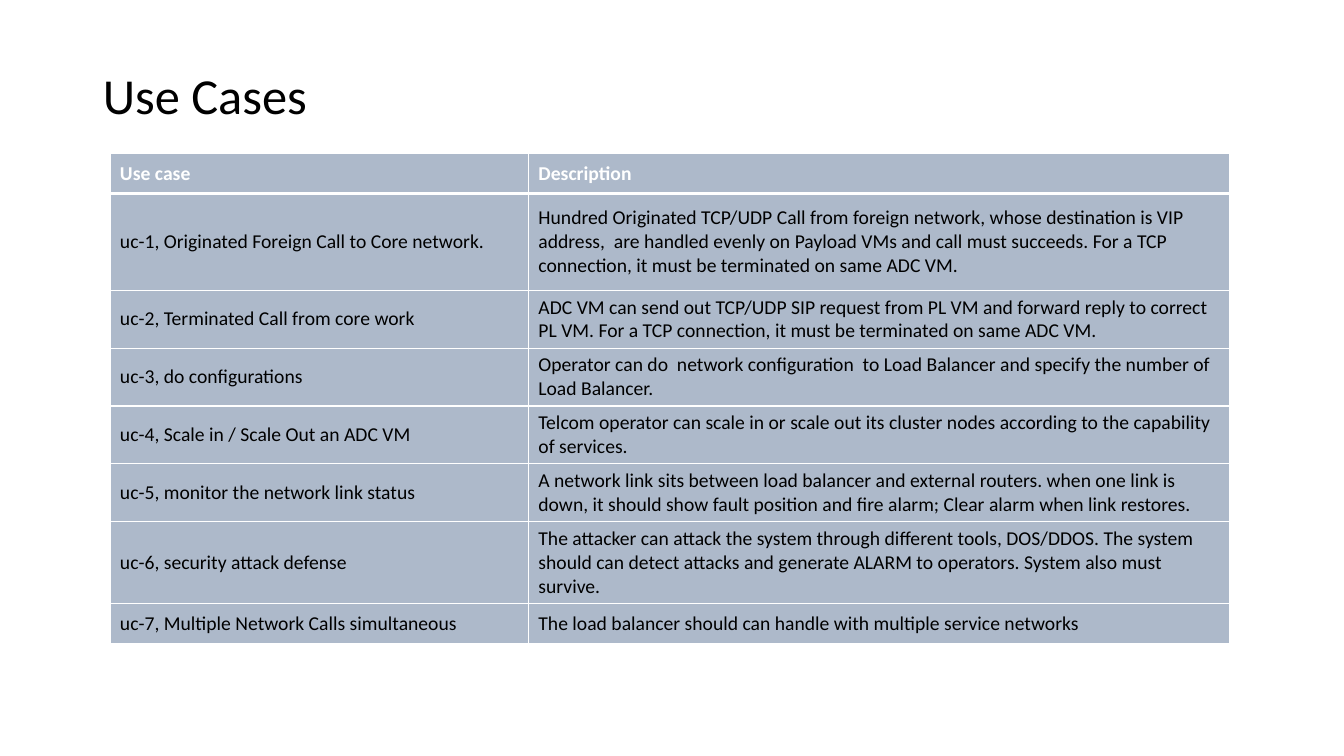
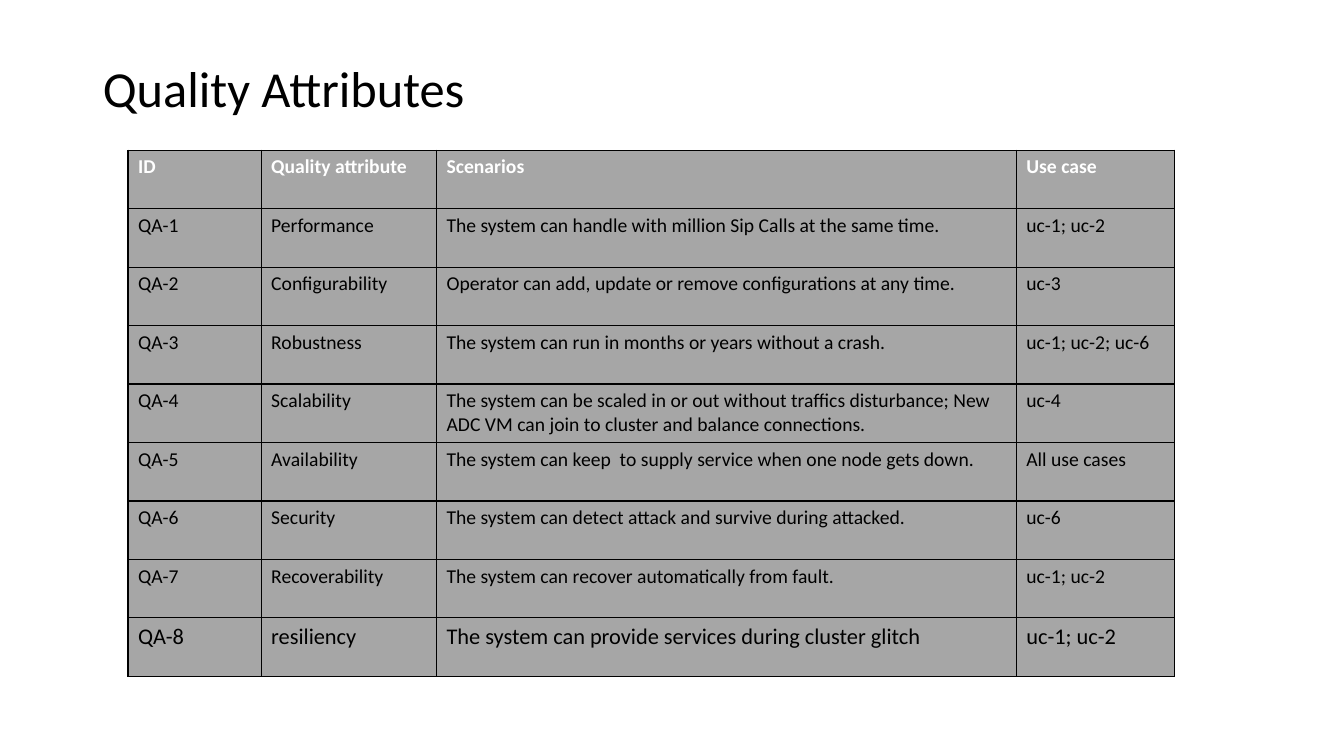
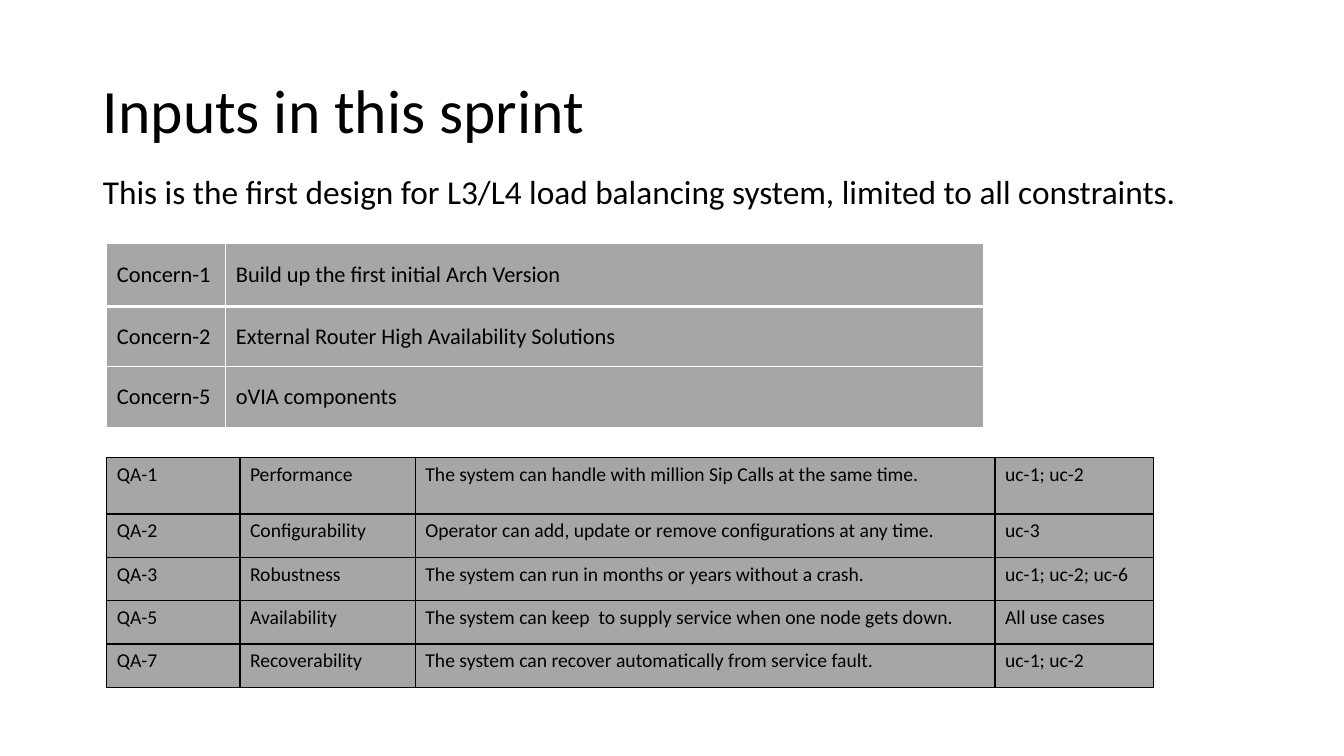
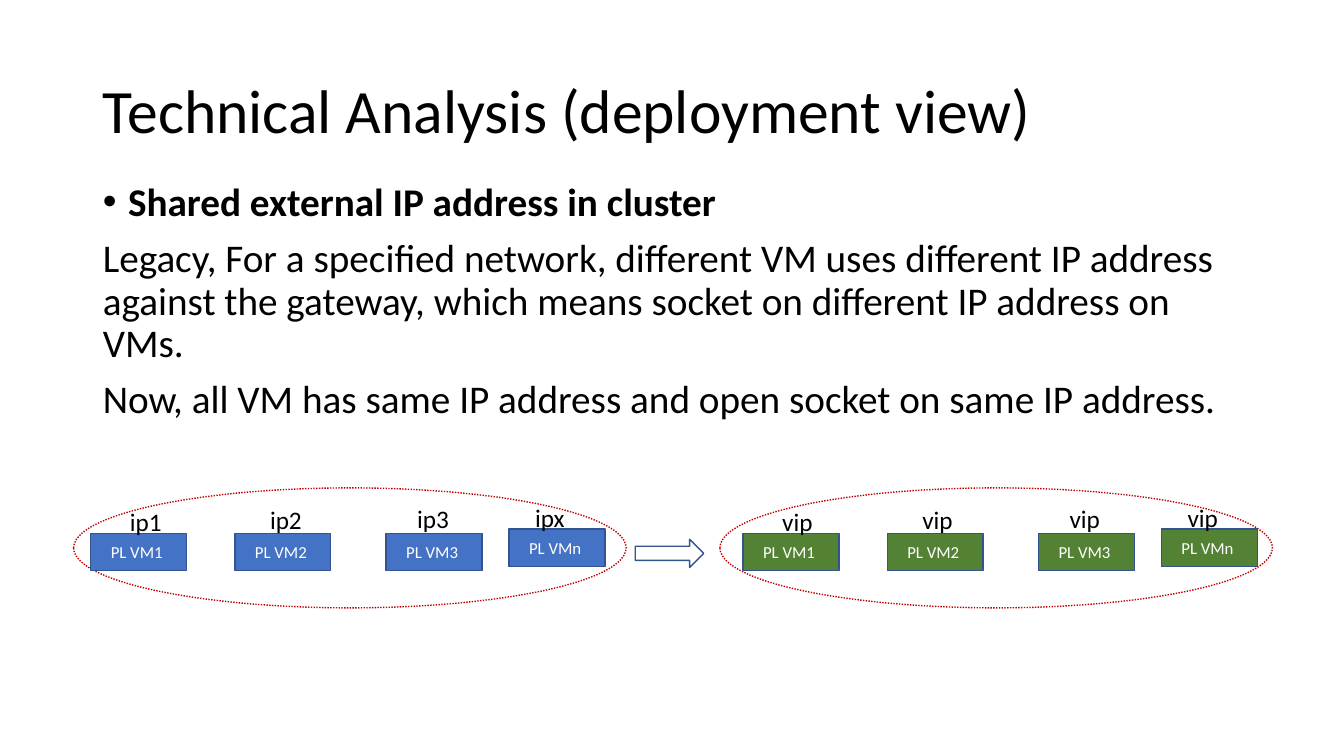
from lxml.etree import SubElement
from pptx import Presentation
from pptx.dml.color import RGBColor
from pptx.enum.dml import MSO_LINE
from pptx.enum.shapes import MSO_SHAPE
from pptx.enum.text import MSO_ANCHOR, MSO_AUTO_SIZE, PP_ALIGN
from pptx.oxml.ns import qn
from pptx.util import Emu, Pt

EMU_PER_PX = 9144  # 100 px to the inch
FONT = "Calibri"
TITLE_ONLY, TITLE_AND_BODY = 5, 1
COLORS = {
    "text": "000000",
    "white": "FFFFFF",
    "slate": "ADB9CA",
    "gray": "A6A6A6",
    "legacy": "4472C4",
    "shared": "548235",
    "outline": "325491",
    "cluster": "C00000",
}

USE_CASES = [
    ("Use case", "Description"),
    ("uc-1, Originated Foreign Call to Core network.",
     "Hundred Originated TCP/UDP Call from foreign network, whose destination is VIP address,  "
     "are handled evenly on Payload VMs and call must succeeds. For a TCP connection, "
     "it must be terminated on same ADC VM."),
    ("uc-2, Terminated Call from core work",
     "ADC VM can send out TCP/UDP SIP request from PL VM and forward reply to correct PL VM. "
     "For a TCP connection, it must be terminated on same ADC VM."),
    ("uc-3, do configurations",
     "Operator can do  network configuration  to Load Balancer and specify the number of "
     "Load Balancer."),
    ("uc-4, Scale in / Scale Out an ADC VM",
     "Telcom operator can scale in or scale out its cluster nodes according to the capability "
     "of services."),
    ("uc-5, monitor the network link status",
     "A network link sits between load balancer and external routers. when one link is down, "
     "it should show fault position and fire alarm; Clear alarm when link restores."),
    ("uc-6, security attack defense",
     "The attacker can attack the system through different tools, DOS/DDOS. The system should "
     "can detect attacks and generate ALARM to operators. System also must survive."),
    ("uc-7, Multiple Network Calls simultaneous",
     "The load balancer should can handle with multiple service networks"),
]
QUALITY_HEADER = ("ID", "Quality attribute", "Scenarios", "Use case")
QUALITIES = [
    ("QA-1", "Performance", "The system can handle with million Sip Calls at the same time.",
     "uc-1; uc-2"),
    ("QA-2", "Configurability", "Operator can add, update or remove configurations at any time.",
     "uc-3"),
    ("QA-3", "Robustness", "The system can run in months or years without a crash.",
     "uc-1; uc-2; uc-6"),
    ("QA-4", "Scalability",
     "The system can be scaled in or out without traffics disturbance; New ADC VM can join to "
     "cluster and balance connections.", "uc-4"),
    ("QA-5", "Availability", "The system can keep  to supply service when one node gets down.",
     "All use cases"),
    ("QA-6", "Security", "The system can detect attack and survive during attacked.", "uc-6"),
    ("QA-7", "Recoverability", "The system can recover automatically from fault.", "uc-1; uc-2"),
    ("QA-8", "resiliency", "The system can provide services during cluster glitch", "uc-1; uc-2"),
]
QUALITY_COLUMNS = (132, 174, 575, 157)
CONCERNS = [
    ("Concern-1", "Build up the first initial Arch Version"),
    ("Concern-2", "External Router High Availability Solutions"),
    ("Concern-5", "oVIA components"),
]


def px(length):
    return Emu(length * EMU_PER_PX)


def box(*lengths):
    return [px(length) for length in lengths]


def rgb(name):
    return RGBColor.from_string(COLORS[name])


def apply(target, **formats):
    for name, value in formats.items():
        setattr(target, name, value)


def write(paragraph, text, size, color="text", bold=False, **formats):
    run = paragraph.add_run()
    run.text = text
    apply(run.font, name=FONT, size=Pt(size), bold=bold)
    run.font.color.rgb = rgb(color)
    apply(paragraph, **formats)


def place(part, left, top, width, height):
    apply(part, left=px(left), top=px(top), width=px(width), height=px(height))


# Title and body placeholders
def add_titled_slide(deck, layout, text, top, size):
    slide = deck.slides.add_slide(deck.slide_layouts[layout])
    title = slide.shapes.title
    place(title, 92, top, 1150, 145)
    apply(title.text_frame, vertical_anchor=MSO_ANCHOR.MIDDLE, auto_size=MSO_AUTO_SIZE.NONE)
    write(title.text_frame.paragraphs[0], text, size, alignment=PP_ALIGN.LEFT, line_spacing=0.9)
    return slide


def fill_body(slide, area, lines, size, spacing):
    """Each line is its text and whether it is a bold bullet."""
    body = slide.placeholders[1]
    place(body, *area)
    frame = body.text_frame
    apply(frame, auto_size=MSO_AUTO_SIZE.NONE, vertical_anchor=MSO_ANCHOR.TOP)
    for index, (text, bulleted) in enumerate(lines):
        paragraph = frame.add_paragraph() if index else frame.paragraphs[0]
        write(paragraph, text, size, bold=bulleted, line_spacing=spacing, space_before=Pt(10))
        properties = paragraph._p.get_or_add_pPr()
        indent = px(25) if bulleted else 0
        properties.set("marL", str(indent))
        properties.set("indent", str(-indent))
        if bulleted:
            SubElement(properties, qn("a:buChar")).set("char", "•")
        else:
            SubElement(properties, qn("a:buNone"))


# Tables
def set_borders(cell, color, top, bottom):
    properties = cell._tc.get_or_add_tcPr()
    for side, width in (("L", 1), ("R", 1), ("T", top), ("B", bottom)):
        line = SubElement(properties, qn(f"a:ln{side}"), w=str(Pt(width)))
        fill = SubElement(line, qn("a:solidFill"))
        SubElement(fill, qn("a:srgbClr"), val=COLORS[color])


def add_grid(slide, left, top, columns, heights, rows, fill, border, anchor,
             size=14, last_size=None, header=False, first_rule=1):
    area = box(left, top, sum(columns), sum(heights))
    table = slide.shapes.add_table(len(rows), len(columns), *area).table
    apply(table, first_row=header, horz_banding=False)
    for column, width in zip(table.columns, columns):
        column.width = px(width)
    for index, (row, height, texts) in enumerate(zip(table.rows, heights, rows)):
        row.height = px(height)
        heading = header and index == 0
        text_size = last_size if last_size and index == len(rows) - 1 else size
        for cell, text in zip(row.cells, texts):
            set_borders(cell, border, first_rule if index == 1 else 1,
                        first_rule if index == 0 else 1)
            cell.fill.solid()
            cell.fill.fore_color.rgb = rgb(fill)
            cell.vertical_anchor = anchor
            write(cell.text_frame.paragraphs[0], text, text_size,
                  "white" if heading else "text", heading)


# Deployment diagram
def add_outlined(slide, kind, area, fill, line):
    shape = slide.shapes.add_shape(kind, *box(*area))
    shape.shadow.inherit = False
    if fill:
        shape.fill.solid()
        shape.fill.fore_color.rgb = rgb(fill)
    else:
        shape.fill.background()
    shape.line.color.rgb = rgb(line)
    shape.line.width = Pt(1)
    return shape


def add_cluster(slide, left, top, inset, addresses, node_fill, cluster_fill=None):
    ring = add_outlined(slide, MSO_SHAPE.OVAL, (left, top, 548, 119), cluster_fill, "cluster")
    ring.line.dash_style = MSO_LINE.ROUND_DOT
    first = left + inset
    # Virtual machines
    for name, x, y in (("1", 0, 45), ("2", 143, 45), ("3", 293, 45), ("n", 415, 41)):
        node = add_outlined(slide, MSO_SHAPE.RECTANGLE, (first + x, top + y, 95, 37),
                            node_fill, "outline")
        node.text_frame.vertical_anchor = MSO_ANCHOR.MIDDLE
        write(node.text_frame.paragraphs[0], f"PL VM{name} ", 12, "white",
              alignment=PP_ALIGN.CENTER)
    # Addresses above them
    spots = ((29, 13, 53), (168, 11, 53), (314, 10, 53), (431, 9, 95))
    for address, (x, y, width) in zip(addresses, spots):
        label = slide.shapes.add_textbox(*box(first + x, top + y, width, 40))
        apply(label.text_frame, word_wrap=True, auto_size=MSO_AUTO_SIZE.SHAPE_TO_FIT_TEXT)
        write(label.text_frame.paragraphs[0], address, 18)


# Slides
def add_use_cases(deck):
    slide = add_titled_slide(deck, TITLE_ONLY, "Use Cases", 25, 36)
    add_grid(slide, 109, 152, (415, 696), (40, 96, *[56] * 5, 40), USE_CASES,
             "slate", "white", MSO_ANCHOR.MIDDLE, header=True, first_rule=3)


def add_quality_attributes(deck):
    slide = add_titled_slide(deck, TITLE_ONLY, "Quality Attributes", 18, 36)
    rows = [QUALITY_HEADER, *QUALITIES]
    add_grid(slide, 127, 149, QUALITY_COLUMNS, [58] * len(rows), rows,
             "gray", "text", MSO_ANCHOR.TOP, last_size=16, header=True)


def add_sprint_inputs(deck):
    slide = add_titled_slide(deck, TITLE_AND_BODY, "Inputs in this sprint", 40, 44)
    fill_body(slide, (92, 172, 1110, 69), [
        ("This is the first design for L3/L4 load balancing system, limited to all constraints.",
         False)], 23.8, 0.8)
    add_grid(slide, 106, 241, (118, 752), (63, 60, 60), CONCERNS,
             "gray", "white", MSO_ANCHOR.MIDDLE, size=16, first_rule=3)
    recovery = ("QA-7", "Recoverability",
                "The system can recover automatically from service fault.", "uc-1; uc-2")
    add_grid(slide, 106, 454, QUALITY_COLUMNS, (56, *[43] * 4),
             [*QUALITIES[:3], QUALITIES[4], recovery], "gray", "text", MSO_ANCHOR.TOP)


def add_technical_analysis(deck):
    slide = add_titled_slide(deck, TITLE_AND_BODY, "Technical Analysis (deployment view)", 40, 44)
    fill_body(slide, (92, 176, 1150, 499), [
        ("Shared external IP address in cluster", True),
        ("Legacy, For a specified network, different VM uses different IP address against the "
         "gateway, which means socket on different IP address on VMs.", False),
        ("Now, all VM has same IP address and open socket on same IP address.", False),
    ], 28, 0.9)
    add_cluster(slide, 73, 484, 17, ("ip1", "ip2", "ip3", "ipx"), "legacy")
    add_cluster(slide, 714, 484, 23, ["vip"] * 4, "shared", "white")
    add_outlined(slide, MSO_SHAPE.RIGHT_ARROW, (630, 535, 68, 28), "white", "outline")


def main():
    deck = Presentation()
    apply(deck, slide_width=px(1333), slide_height=px(750))
    for add_slide in (add_use_cases, add_quality_attributes, add_sprint_inputs,
                      add_technical_analysis):
        add_slide(deck)
    deck.save("out.pptx")


if __name__ == "__main__":
    main()
